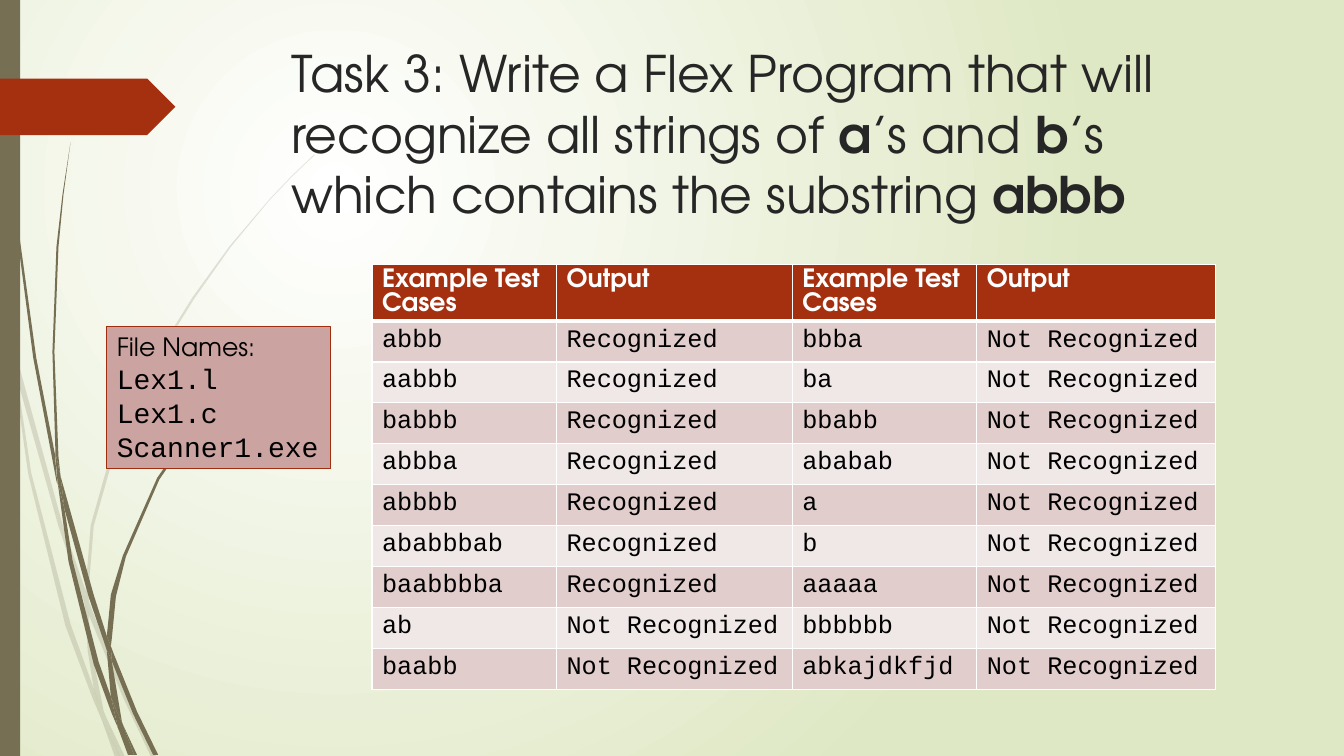
from collections import namedtuple

from lxml import etree
from pptx import Presentation
from pptx import util as u
from pptx.dml import color
from pptx.enum import shapes, text
from pptx.oxml import ns

Theme = namedtuple("Theme", "olive rust rust_edge rose bands white meadow heading black "
                            "sans mono title_size file_size body_size")
THEME = Theme("766F54", "A53010", "9E2E0F", "CBA3A0", ("E1CDCC", "F0E8E7"), "FFFFFF", "DFE8C4",
              "262626", "000000", "TeX Gyre Adventor", "Courier New", 36, 20, 18)
Box = namedtuple("Box", "left top width height")
ROWS, COLUMNS = 75, 133.33
CELL = u.Inches(7.5) / ROWS
STALK_UNIT = CELL / 10

FAINT_STALKS = [
    "11,350 9,322 0,282 0,299 10,344",
    "58,522 84,599 85,586 62,520 14,345 17,376",
    "92,607 88,596 88,610 123,694 150,751 155,751 127,692",
    "119,751 124,751 105,711",
    "93,683 70,619 31,469 17,376 11,350 28,470 65,621 92,693 101,714 99,707",
    "84,599 87,646 93,683 96,692 105,711 103,706 91,646 88,610 88,608",
    "88,584 93,522 110,462 132,405 160,349 193,296 229,245 268,198 290,175 312,154 312,153 "
    "289,175 268,197 228,244 191,295 158,348 130,403 107,461 90,521 85,584 85,586 88,596",
    "101,714 114,751 119,751",
    "88,608 88,610 88,596 85,586 84,599",
    "96,692 93,683 99,707 101,714 119,751 105,711",
]
DARK_STALKS = [
    "7,110 17,233 33,355 56,477 57,481 55,457 55,453 36,355 19,232 8,109 5,48 4,0 3,0 4,48",
    "88,592 106,645 106,633 106,631 93,590 60,472 64,505",
    "113,649 110,641 111,656 132,708 152,749 157,749 136,706",
    "110,691 98,657 72,556 64,505 57,477 68,557 93,659 111,708 117,722 116,717",
    "60,472 58,453 54,349 58,245 63,193 70,141 62,193 56,245 52,349 55,449",
    "133,749 136,749 122,719",
    "57,477 64,505 60,472 55,449 55,453",
    "111,633 115,592 125,552 158,476 205,406 231,374 245,359 261,344 260,344 245,358 "
    "231,373 204,405 156,474 122,551 110,590 106,631 110,641",
    "117,722 127,749 131,749",
    "106,645 110,691 116,706 122,719 121,716 111,656 109,651",
    "106,645 109,651 111,656 110,641 106,631 106,633",
    "116,706 110,691 116,717 117,722 130,749 133,749 122,719",
]
TITLE_RUNS = [
    ("Task 3: Write a Flex Program that will recognize all strings of ", False),
    ("a", True), ("’s and ", False), ("b", True),
    ("’s which contains the substring ", False), ("abbb", True),
]
YES, NO = "Recognized", "Not Recognized"
HEADINGS = ["Example Test Cases", "Output"] * 2
LEFT_CASES = ["abbb", "aabbb", "babbb", "abbba", "abbbb", "ababbbab", "baabbbba", "ab", "baabb"]
RIGHT_CASES = ["bbba", "ba", "bbabb", "ababab", "a", "b", "aaaaa", "bbbbbb", "abkajdkfjd"]
FILE_NAMES = ["Lex1.l", "Lex1.c", "Scanner1.exe"]


def emu(box):
    return [round(value * CELL) for value in box]


def apply(target, values):
    for name, value in values.items():
        setattr(target, name, value)


def write(paragraph, words, font, size, ink, bold=False):
    run = paragraph.add_run()
    run.text = words
    apply(run.font, {"name": font, "size": u.Pt(size), "bold": bold})
    run.font.color.rgb = color.RGBColor.from_string(ink)


def fill_solid(target, value):
    target.fill.solid()
    target.fill.fore_color.rgb = color.RGBColor.from_string(value)


def paint(shape, fill, line=None):
    shape.shadow.inherit = False
    fill_solid(shape, fill)
    if line:
        shape.line.color.rgb = color.RGBColor.from_string(line)
        shape.line.width = u.Pt(0.75)
    else:
        shape.line.fill.background()


def add_background(slide):
    fill = slide.background.fill
    fill.gradient()
    for stop, value in zip(fill.gradient_stops, (THEME.white, THEME.meadow)):
        stop.color.rgb = color.RGBColor.from_string(value)
    gradient = next(slide.element.iter(ns.qn("a:gradFill")))
    gradient.remove(gradient.find(ns.qn("a:lin")))
    circle = etree.SubElement(gradient, ns.qn("a:path"), path="circle")
    etree.SubElement(circle, ns.qn("a:fillToRect"), l="50000", t="50000", r="100000", b="100000")


def add_stalk(slide, box, outline, opacity):
    points = [[int(value) for value in pair.split(",")] for pair in outline.split()]
    corners = [(box.left * CELL + x * STALK_UNIT, box.top * CELL + y * STALK_UNIT)
               for x, y in points]
    builder = slide.shapes.build_freeform(*corners[0])
    builder.add_line_segments(corners[1:], close=True)
    stalk = builder.convert_to_shape()
    paint(stalk, THEME.olive)
    if opacity < 100:
        tint = stalk.element.spPr.find(ns.qn("a:solidFill"))[0]
        etree.SubElement(tint, ns.qn("a:alpha"), val=str(opacity * 1000))


def add_decoration(slide, box):
    for stalks, opacity in ((FAINT_STALKS, 20), (DARK_STALKS, 100)):
        for outline in stalks:
            add_stalk(slide, box, outline, opacity)
    bar = Box(box.left, box.top, 2, box.height)
    ribbon = Box(box.left, box.top + 7.8, 17.4, 5.6)
    for kind, part, fill in ((shapes.MSO_SHAPE.RECTANGLE, bar, THEME.olive),
                             (shapes.MSO_SHAPE.PENTAGON, ribbon, THEME.rust)):
        paint(slide.shapes.add_shape(kind, *emu(part)), fill)


def add_title(slide, box):
    title = slide.shapes.title
    apply(title, dict(zip(box._fields, emu(box))))
    apply(title.text_frame, {"vertical_anchor": text.MSO_ANCHOR.TOP, "word_wrap": True,
                             "auto_size": text.MSO_AUTO_SIZE.NONE})
    paragraph = title.text_frame.paragraphs[0]
    paragraph.alignment = text.PP_ALIGN.LEFT
    for words, bold in TITLE_RUNS:
        write(paragraph, words, THEME.sans, THEME.title_size, THEME.heading, bold)
    title.element.getparent().append(title.element)


def add_borders(cell, heading):
    properties = cell._tc.get_or_add_tcPr()
    for index, side in enumerate("LRTB"):
        weight = 3 if heading and side == "B" else 1
        line = etree.Element(ns.qn(f"a:ln{side}"), w=str(u.Pt(weight)))
        fill = etree.SubElement(line, ns.qn("a:solidFill"))
        etree.SubElement(fill, ns.qn("a:srgbClr"), val=THEME.white)
        properties.insert(index, line)


def add_cases(slide, box):
    outputs = [YES] * 7 + [NO] * 2
    rows = [HEADINGS] + [[a, out, b, NO] for a, out, b in zip(LEFT_CASES, outputs, RIGHT_CASES)]
    table = slide.shapes.add_table(len(rows), len(HEADINGS), *emu(box)).table
    for column, width in zip(table.columns, (18.3, 23.4, 18.3, 23.7)):
        column.width = round(width * CELL)
    heading_height = 5.6
    body_height = (box.height - heading_height) / (len(rows) - 1)
    for r, values in enumerate(rows):
        heading = r == 0
        table.rows[r].height = round((heading_height if heading else body_height) * CELL)
        fill = THEME.rust if heading else THEME.bands[(r - 1) % 2]
        font, ink = (THEME.sans, THEME.white) if heading else (THEME.mono, THEME.black)
        for c, words in enumerate(values):
            cell = table.cell(r, c)
            fill_solid(cell, fill)
            add_borders(cell, heading)
            write(cell.text_frame.paragraphs[0], words, font, THEME.body_size, ink, heading)


def add_file_names(slide, box):
    panel = slide.shapes.add_shape(shapes.MSO_SHAPE.RECTANGLE, *emu(box))
    paint(panel, THEME.rose, THEME.rust_edge)
    frame = panel.text_frame
    apply(frame, {"word_wrap": False, "vertical_anchor": text.MSO_ANCHOR.TOP})
    lines = [("File Names:", THEME.sans, THEME.body_size)]
    lines += [(name, THEME.mono, THEME.file_size) for name in FILE_NAMES]
    for index, (words, font, size) in enumerate(lines):
        paragraph = frame.add_paragraph() if index else frame.paragraphs[0]
        paragraph.alignment = text.PP_ALIGN.LEFT
        write(paragraph, words, font, size, THEME.black)


presentation = Presentation()
apply(presentation, {"slide_width": round(COLUMNS * CELL), "slide_height": round(ROWS * CELL)})
slide = presentation.slides.add_slide(presentation.slide_layouts[5])
add_background(slide)
add_decoration(slide, Box(0, 0, 31.2, ROWS))
add_title(slide, Box(27.9, 3.7, 97.5, 19.7))
add_cases(slide, Box(36.9, 26.2, 83.7, 42.2))
add_file_names(slide, Box(10.6, 32.4, 22.2, 14.1))
presentation.save("out.pptx")
